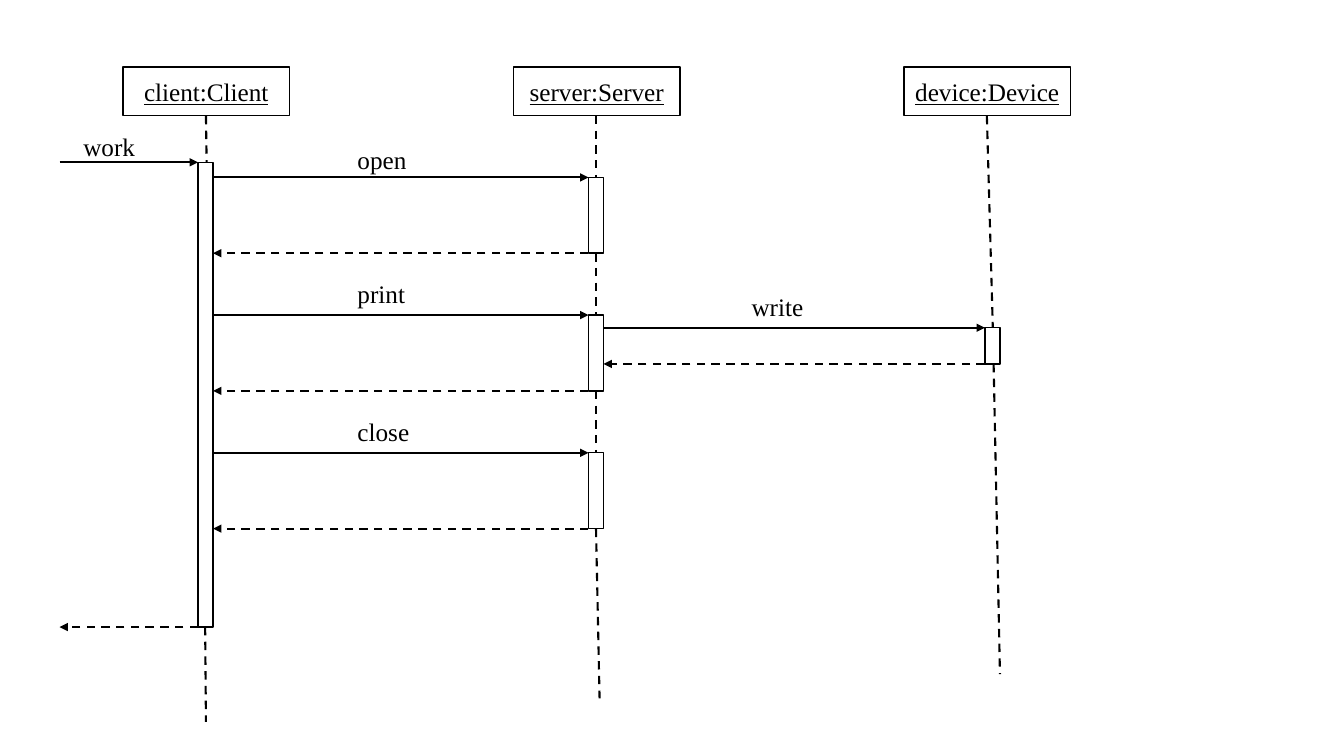
from pptx import Presentation
from pptx import util as u
from pptx.dml.color import RGBColor
from pptx.enum import dml, shapes, text
from pptx.oxml.ns import qn
from lxml import etree

COLORS = {"ink": "000000", "paper": "FFFFFF"}


class SequenceDiagram:
    font, size = "Times New Roman", 18
    box_line, link_line = 1, 1.5

    def __init__(self, slide):
        self.s = slide

    def color(self, name):
        return RGBColor.from_string(COLORS[name])

    def set_text(self, tf, words, underline=None):
        p = tf.paragraphs[0]
        p.text = words
        f = p.runs[0].font
        f.name, f.size, f.underline = self.font, u.Pt(self.size), underline
        f.color.rgb = self.color("ink")
        return p

    def box(self, x, y, w, h):
        sp = self.s.shapes.add_shape(shapes.MSO_SHAPE.RECTANGLE,
                                     u.Cm(x), u.Cm(y), u.Cm(w), u.Cm(h))
        sp.shadow.inherit = False
        sp.fill.solid()
        sp.fill.fore_color.rgb = self.color("paper")
        sp.line.color.rgb = self.color("ink")
        sp.line.width = u.Pt(self.box_line)
        return sp

    def header(self, x, y, w, h, words):
        tf = self.box(x, y, w, h).text_frame
        tf.word_wrap = False
        tf.vertical_anchor = text.MSO_ANCHOR.MIDDLE
        self.set_text(tf, words, underline=True).alignment = text.PP_ALIGN.CENTER

    def line(self, x1, y1, x2, y2, dashed=True, arrow=False):
        c = self.s.shapes.add_connector(shapes.MSO_CONNECTOR.STRAIGHT,
                                        u.Cm(x1), u.Cm(y1), u.Cm(x2), u.Cm(y2))
        c.line.color.rgb = self.color("ink")
        c.line.width = u.Pt(self.link_line)
        if dashed:
            c.line.dash_style = dml.MSO_LINE.DASH
        props = c._element.spPr
        if arrow:
            etree.SubElement(props.find(qn("a:ln")), qn("a:tailEnd"), type="triangle")
        etree.SubElement(props, qn("a:effectLst"))

    def label(self, x, y, words):
        tf = self.s.shapes.add_textbox(u.Cm(x), u.Cm(y), u.Cm(2.67), u.Cm(1.07)).text_frame
        tf.word_wrap = True
        tf.auto_size = text.MSO_AUTO_SIZE.SHAPE_TO_FIT_TEXT
        self.set_text(tf, words)

    def call(self, x1, x2, y, duration, words, label_x, rise):
        # A labelled call and its dashed return
        self.line(x1, y, x2, y, dashed=False, arrow=True)
        self.line(x2, y + duration, x1, y + duration, arrow=True)
        self.label(label_x, y - rise, words)


def main():
    prs = Presentation()
    prs.slide_width, prs.slide_height = u.Cm(33.87), u.Cm(19.05)
    d = SequenceDiagram(prs.slides.add_slide(prs.slide_layouts[6]))

    # Participants
    for i, name in enumerate(("client:Client", "server:Server", "device:Device")):
        d.header(3.1 + i * 9.84, 1.69, 4.2, 1.23, name)

    # Times of the calls
    head_bottom, bar_w = 2.92, 0.38
    client_y, client_h = 4.09, 11.71
    server_ys, server_h = [4.47 + i * 3.47 for i in range(3)], 1.91
    device_y, device_h = 8.26, 0.91
    client_x, server_x, device_x = 4.99, 14.83, 24.82

    # Lifelines
    d.line(5.19, head_bottom, 5.21, 4.22)
    d.line(5.17, client_y + client_h, 5.19, 18.19)
    start = head_bottom
    for y in server_ys:
        d.line(15.02, start, 15.02, y)
        start = y + server_h
    d.line(15.02, start, 15.11, 17.6)
    d.line(24.87, head_bottom, 25.02, device_y)
    d.line(25.04, device_y + device_h, 25.2, 16.99)

    # Activation bars
    bars = [(client_x, client_y, client_h), (device_x, device_y, device_h)]
    bars += [(server_x, y, server_h) for y in server_ys]
    for x, y, h in bars:
        d.box(x, y, bar_w, h)

    # Messages
    d.call(1.5, client_x, client_y, client_h, "work", 1.85, 0.91)
    for y, words, rise in zip(server_ys, ("open", "print", "close"), (0.96, 1.06, 1.05)):
        d.call(client_x + bar_w, server_x, y, server_h, words, 8.76, rise)
    d.call(server_x + bar_w, device_x, device_y, device_h, "write", 18.69, 1.05)

    prs.save("out.pptx")


if __name__ == "__main__":
    main()
